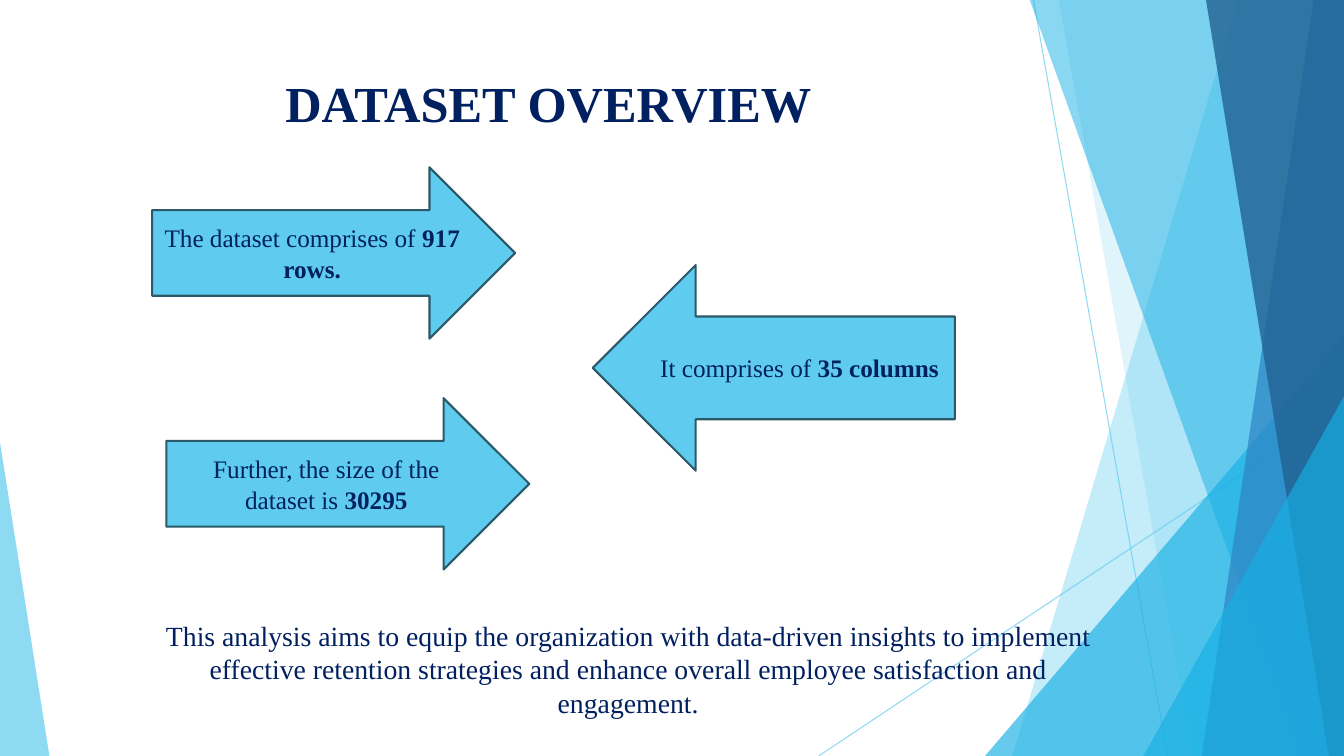
from dataclasses import dataclass

from lxml import etree
from pptx import Presentation
from pptx.dml.color import RGBColor
from pptx.enum import shapes, text
from pptx.oxml.ns import qn
from pptx.util import Inches, Pt

WIDE, HIGH = 13.33, 7.5
KIND = shapes.MSO_SHAPE


@dataclass(frozen=True)
class Theme:
    font: str = "Times New Roman"
    ink: str = "002060"
    sky: str = "5FCBEF"
    aqua: str = "17B0E4"
    blue: str = "2E83C3"
    deep: str = "226292"
    edge: str = "2A5969"
    title: float = 36
    label: float = 18
    body: float = 19.8


class Deck:
    def __init__(self, theme):
        self.theme = theme
        self.show = Presentation()
        self.show.slide_width = Inches(WIDE)
        self.show.slide_height = Inches(HIGH)
        self.slide = self.show.slides.add_slide(self.show.slide_layouts[6])
        self.items = self.slide.shapes

    def fade(self, fill, alpha):
        """Set the opacity, in percent, of a solid fill element."""
        etree.SubElement(fill[0], qn("a:alpha"), val=str(alpha * 1000))

    def tint(self, shape, color, alpha):
        shape.shadow.inherit = False
        shape.fill.solid()
        shape.fill.fore_color.rgb = RGBColor.from_string(color)
        shape.line.fill.background()
        self.fade(shape._element.spPr.find(qn("a:solidFill")), alpha)

    def line(self, start, end):
        item = self.items.add_connector(
            shapes.MSO_CONNECTOR.STRAIGHT, *map(Inches, start + end))
        item.line.width = Pt(0.75)
        item.line.color.rgb = RGBColor.from_string(self.theme.sky)
        props = item._element.spPr
        self.fade(props.find(qn("a:ln")).find(qn("a:solidFill")), 70)
        etree.SubElement(props, qn("a:effectLst"))

    def band(self, top, foot, color, alpha):
        """Fill from a slanted left side to the right edge of the slide."""
        form = self.items.build_freeform(Inches(top), Inches(-0.01), scale=1.0)
        corners = [(WIDE, -0.01), (WIDE, HIGH), (foot, HIGH)]
        form.add_line_segments([(Inches(x), Inches(y)) for x, y in corners])
        self.tint(form.convert_to_shape(), color, alpha)

    def wedge(self, left, top, wide, peak, color, alpha):
        """Stand a triangle on the slide's foot, its peak at 0 or 1."""
        item = self.items.add_shape(
            KIND.ISOSCELES_TRIANGLE, *map(Inches, (left, top, wide, HIGH - top)))
        item.adjustments[0] = peak
        self.tint(item, color, alpha)

    def label(self, shape, size, words, strong=""):
        """Centre the words in a shape, with the strong part in bold."""
        frame = shape.text_frame
        frame.word_wrap = True
        para = frame.paragraphs[0]
        para.alignment = text.PP_ALIGN.CENTER
        para.font.name = self.theme.font
        para.font.size = Pt(size)
        para.font.color.rgb = RGBColor.from_string(self.theme.ink)
        for part, bold in ((words, False), (strong, True)):
            if part:
                run = para.add_run()
                run.text = part
                run.font.bold = bold

    def arrow(self, kind, box, words, strong):
        item = self.items.add_shape(kind, *map(Inches, box))
        item.shadow.inherit = False
        item.fill.solid()
        item.fill.fore_color.rgb = RGBColor.from_string(self.theme.sky)
        item.line.color.rgb = RGBColor.from_string(self.theme.edge)
        item.line.width = Pt(1.5)
        item.text_frame.vertical_anchor = text.MSO_ANCHOR.MIDDLE
        self.label(item, self.theme.label, words, strong)

    def note(self, box, size, words, strong=""):
        item = self.items.add_textbox(*map(Inches, box))
        self.label(item, size, words, strong)


def main():
    theme = Theme()
    deck = Deck(theme)

    deck.line((10.25, 0), (11.58, HIGH))
    deck.line((WIDE, 4.03), (8.12, HIGH))
    deck.band(12.28, 10.04, theme.sky, 36)
    deck.band(10.5, 11.83, theme.sky, 20)
    deck.wedge(9.77, 3.33, 3.56, 1, theme.aqua, 66)
    deck.band(10.21, 12.91, theme.aqua, 50)
    deck.band(13.03, 11.92, theme.blue, 70)
    deck.band(11.96, 13.18, theme.deep, 80)
    deck.wedge(11.34, 3.93, 1.99, 1, theme.aqua, 66)
    deck.wedge(0, 4.39, 0.49, 0, theme.sky, 70)

    deck.note((0.74, 0.67, 9.4, 1), theme.title, "", "DATASET OVERVIEW")
    deck.arrow(KIND.LEFT_ARROW, (5.88, 2.63, 3.59, 2.04),
               "It comprises of ", "35 columns")
    deck.arrow(KIND.RIGHT_ARROW, (1.65, 3.95, 3.6, 1.7),
               "Further, the size of the dataset is ", "30295")
    deck.arrow(KIND.RIGHT_ARROW, (1.51, 1.66, 3.6, 1.7),
               "The dataset comprises of ", "917 rows.")
    deck.note((1.53, 6.09, 9.4, 1), theme.body,
              "This analysis aims to equip the organization with data-driven "
              "insights to implement effective retention strategies and enhance "
              "overall employee satisfaction and engagement.")
    deck.show.save("out.pptx")


if __name__ == "__main__":
    main()
